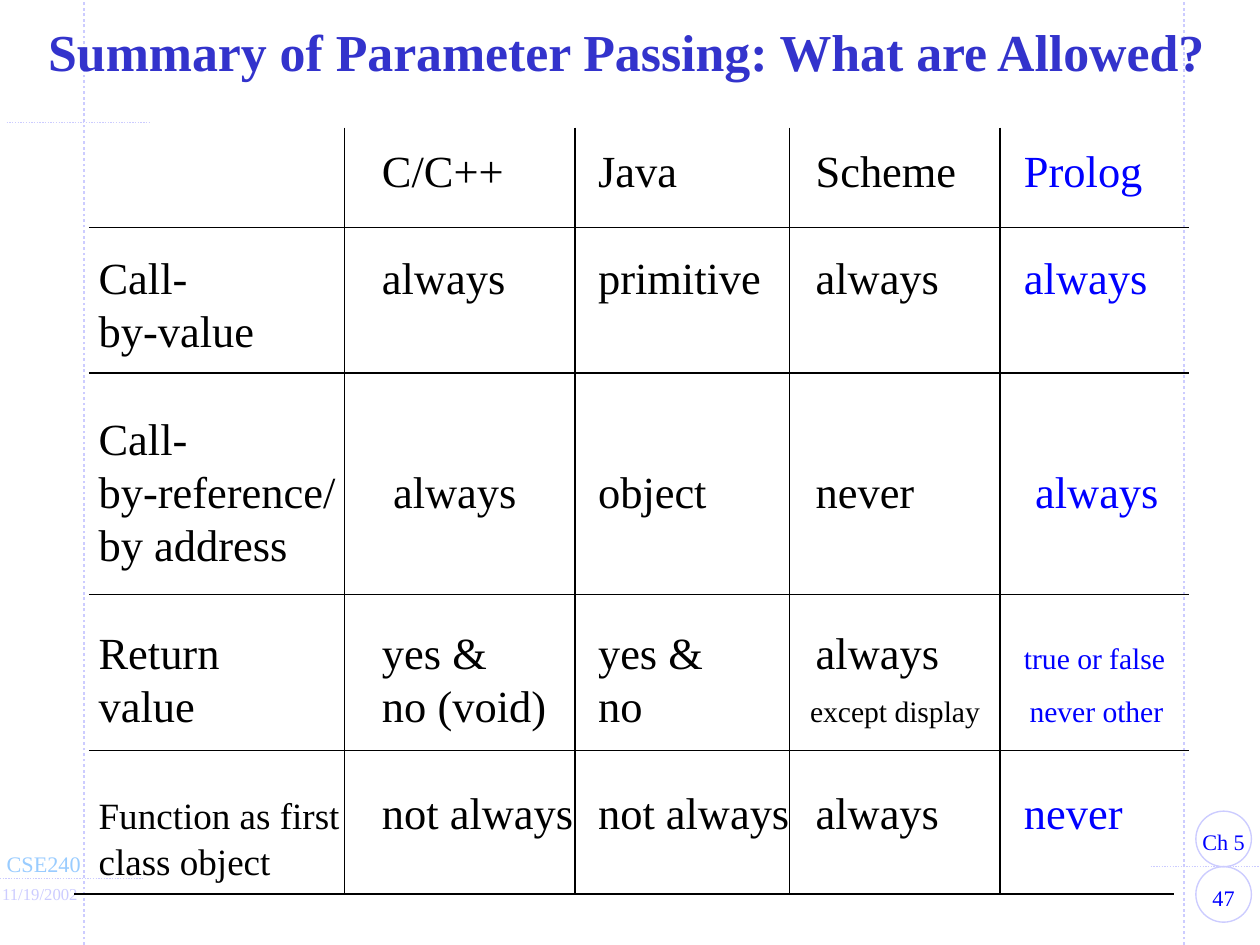
"""Build the slide that sums up parameter passing in four languages."""
from itertools import pairwise

from lxml import etree
from pptx import Presentation
from pptx.dml.color import RGBColor
from pptx.enum.dml import MSO_LINE
from pptx.enum.shapes import MSO_CONNECTOR, MSO_SHAPE
from pptx.enum.text import MSO_ANCHOR, PP_ALIGN
from pptx.oxml.ns import qn
from pptx.util import Pt

DOTTED = MSO_LINE.ROUND_DOT
STRAIGHT = MSO_CONNECTOR.STRAIGHT
ELLIPSE = MSO_SHAPE.OVAL
TOP, MIDDLE = MSO_ANCHOR.TOP, MSO_ANCHOR.MIDDLE
LEFT, CENTER = PP_ALIGN.LEFT, PP_ALIGN.CENTER

BLACK, BLUE, LAVENDER, SKY, INDIGO = "000000", "0000FF", "CCCCFF", "99CCFF", "3333CC"
BODY_SIZE, DESCENT = 24, 0.216
LINE_HEIGHTS = {24: 28.8, 20: 24.8, 16: 28.8}
PLAIN_TABLE_STYLE = "{2D5ABB26-0587-4C30-8999-92F81FD0307C}"

COLUMN_EDGES = [48, 186, 310.5, 426.5, 540, 642]
ROW_EDGES = [69, 123, 201.5, 321, 405.5, 483]
BOTTOM_RULE_SHIFT = -8
COLUMN_INSETS = [5.3, 20.3, 12.5, 14, 13]
ROW_INSETS = [8.6, 12.3, 20.8, 15.9, 17.8]
ROWS = [
    ["", "C/C++", "Java", "Scheme", "Prolog"],
    ["Call-\nby-value", "always", "primitive", "always", "always"],
    ["Call-\nby-reference/\nby address", "always", "object", "never", "always"],
    ["Return\nvalue", "yes &\nno (void)", "yes &\nno", "always\nexcept display",
     "true or false\nnever other"],
    ["Function as first\nclass object", "not always", "not always", "always", "never"],
]
REFERENCE_ROW = 2
SMALL_SIZES = {"Function as first": 20, "class object": 20, "except display": 16,
               "true or false": 16, "never other": 16}
CELL_SHIFTS = {(REFERENCE_ROW, 1): 6, (REFERENCE_ROW, 4): 6, (3, 3): -3}
LINE_INDENTS = {(3, 3, 0): 3, (3, 4, 1): 3}


def color(value):
    return RGBColor.from_string(value)


def write(paragraph, text, size=BODY_SIZE, fill=BLACK, bold=False, align=LEFT,
          spacing=None, indent=0):
    paragraph.alignment = align
    if spacing:
        paragraph.line_spacing = spacing
    if indent:
        paragraph._p.get_or_add_pPr().set("marL", str(Pt(indent)))
    run = paragraph.add_run()
    run.text = text
    run.font.name = "Times New Roman"
    run.font.size = Pt(size)
    run.font.bold = bold
    run.font.color.rgb = color(fill)


class SlideBuilder:
    def __init__(self, slide):
        self.slide = slide
        self.thin = 0.75

    def line(self, x1, y1, x2, y2, stroke=BLACK, width=None, dash=None):
        connector = self.slide.shapes.add_connector(
            STRAIGHT, Pt(x1), Pt(y1), Pt(x2), Pt(y2))
        connector.line.color.rgb = color(stroke)
        connector.line.width = Pt(width or self.thin)
        if dash:
            connector.line.dash_style = dash
        etree.SubElement(connector._element.spPr, qn("a:effectLst"))

    def fit(self, shape, text, wrap=False, top=0, **style):
        frame = shape.text_frame
        frame.margin_left = frame.margin_right = frame.margin_bottom = 0
        frame.margin_top = Pt(top)
        frame.word_wrap = wrap
        frame.vertical_anchor = MIDDLE
        write(frame.paragraphs[0], text, **style)

    def label(self, text, x, y, width, height, **style):
        box = self.slide.shapes.add_textbox(Pt(x), Pt(y), Pt(width), Pt(height))
        self.fit(box, text, wrap=True, **style)

    def badge(self, text, x, y, diameter):
        shape = self.slide.shapes.add_shape(
            ELLIPSE, Pt(x), Pt(y), Pt(diameter), Pt(diameter))
        shape.shadow.inherit = False
        shape.fill.background()
        shape.line.color.rgb = color(LAVENDER)
        shape.line.width = Pt(self.thin)
        self.fit(shape, text, top=3.2, size=12, fill=BLUE, align=CENTER)

    def cell(self, cell, text, row, column):
        lines = text.split("\n")
        sizes = [SMALL_SIZES.get(words, BODY_SIZE) for words in lines]
        baseline_shift = (LINE_HEIGHTS[BODY_SIZE] - LINE_HEIGHTS[sizes[0]]
                          - DESCENT * (BODY_SIZE - sizes[0]))
        cell.margin_left = Pt(COLUMN_INSETS[column] + CELL_SHIFTS.get((row, column), 0))
        cell.margin_right = 0
        cell.margin_top = Pt(ROW_INSETS[row] + baseline_shift)
        cell.margin_bottom = Pt(13.5) if row == REFERENCE_ROW else 0
        cell.vertical_anchor = MIDDLE if row == REFERENCE_ROW else TOP
        cell.fill.background()
        frame = cell.text_frame
        previous = sizes[0]
        for index, (words, size) in enumerate(zip(lines, sizes)):
            if not words:
                continue
            paragraph = frame.add_paragraph() if index else frame.paragraphs[0]
            height = LINE_HEIGHTS[size] - DESCENT * (previous - size)
            write(paragraph, words, size=size, fill=BLUE if column == 4 else BLACK,
                  spacing=Pt(height), indent=LINE_INDENTS.get((row, column, index), 0))
            previous = size

    def table(self):
        left, top = COLUMN_EDGES[0], ROW_EDGES[0]
        table = self.slide.shapes.add_table(
            len(ROWS), len(COLUMN_INSETS), Pt(left), Pt(top),
            Pt(COLUMN_EDGES[-1] - left), Pt(ROW_EDGES[-1] - top)).table
        table._tbl.tblPr.find(qn("a:tableStyleId")).text = PLAIN_TABLE_STYLE
        table.first_row = table.horz_banding = False
        for column, (start, end) in zip(table.columns, pairwise(COLUMN_EDGES)):
            column.width = Pt(end - start)
        for row, (start, end) in zip(table.rows, pairwise(ROW_EDGES)):
            row.height = Pt(end - start)
        for row, texts in enumerate(ROWS):
            for column, text in enumerate(texts):
                self.cell(table.cell(row, column), text, row, column)

    def rules(self):
        left, right = COLUMN_EDGES[0], COLUMN_EDGES[-1]
        top, bottom = ROW_EDGES[0], ROW_EDGES[-1]
        for y in ROW_EDGES[1:]:
            shift = BOTTOM_RULE_SHIFT if y == bottom else 0
            self.line(left + shift, y, right + shift, y)
        for x in COLUMN_EDGES[1:-1]:
            self.line(x, top, x, bottom)


def main():
    presentation = Presentation()
    presentation.slide_width, presentation.slide_height = Pt(680.4), Pt(510.5)
    builder = SlideBuilder(presentation.slides.add_slide(presentation.slide_layouts[6]))

    for x in (45.4, 639.4):
        builder.line(x, 510.5, x, 0, stroke=LAVENDER, width=1.5, dash=DOTTED)
    for x1, x2, y in ((0, 78, 474.5), (621.4, 684, 468), (3.6, 81.4, 66.2)):
        builder.line(x1, y, x2, y, stroke=LAVENDER, dash=DOTTED)
    for index, text in enumerate(("Ch 5", "47")):
        builder.badge(text, 645.8, 438.2 + 30 * index, 30)
    builder.label("CSE240", 3.6, 458.5, 48, 16, size=12, fill=SKY)
    builder.label("11/19/2002", 1.2, 477, 46, 12, size=9, fill=LAVENDER)
    builder.label("Summary of Parameter Passing: What are Allowed?", 0, 9.4, 676.4, 41.8,
                  size=28, fill=INDIGO, bold=True, align=CENTER, spacing=0.85)
    builder.table()
    builder.rules()
    presentation.save("out.pptx")


if __name__ == "__main__":
    main()
